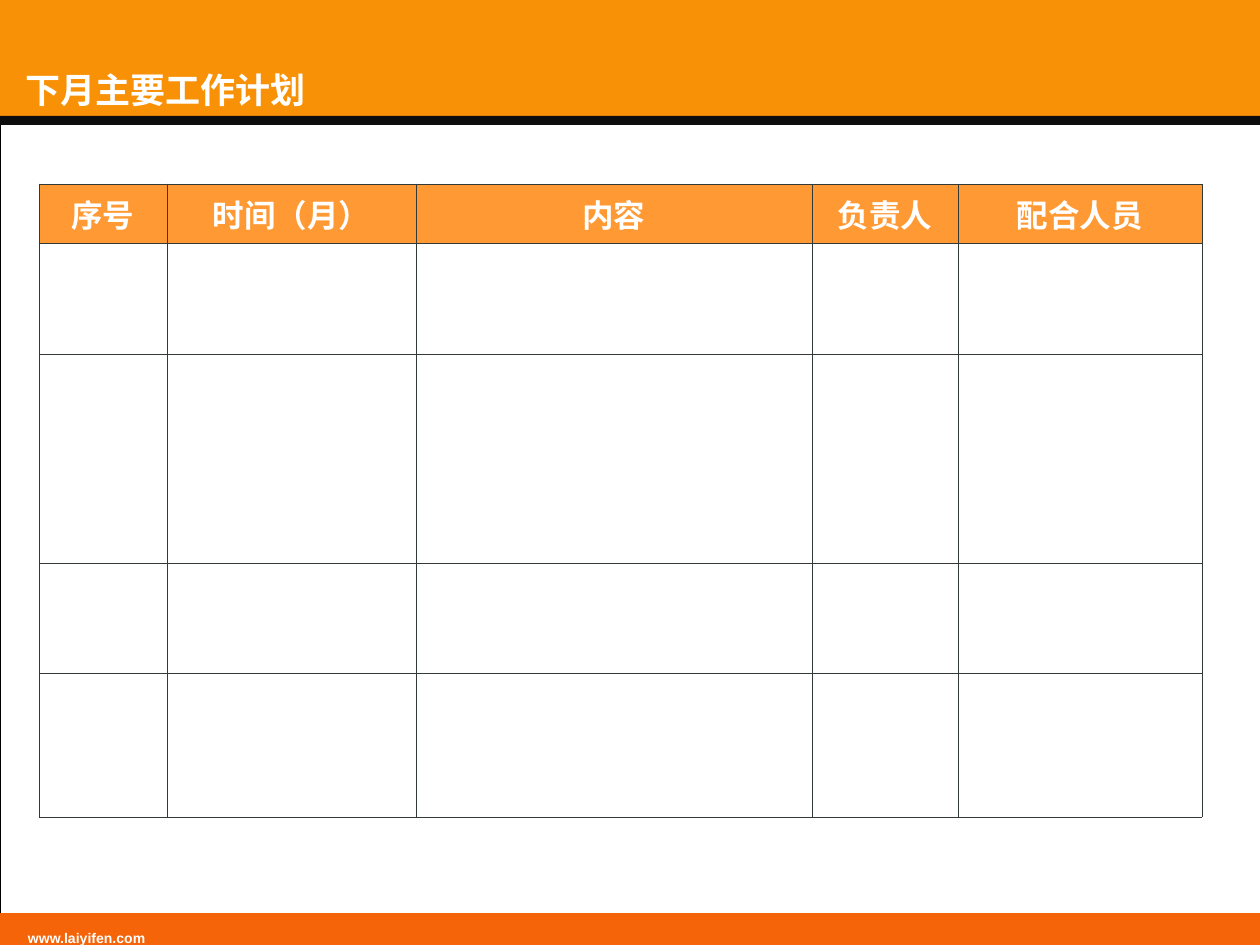
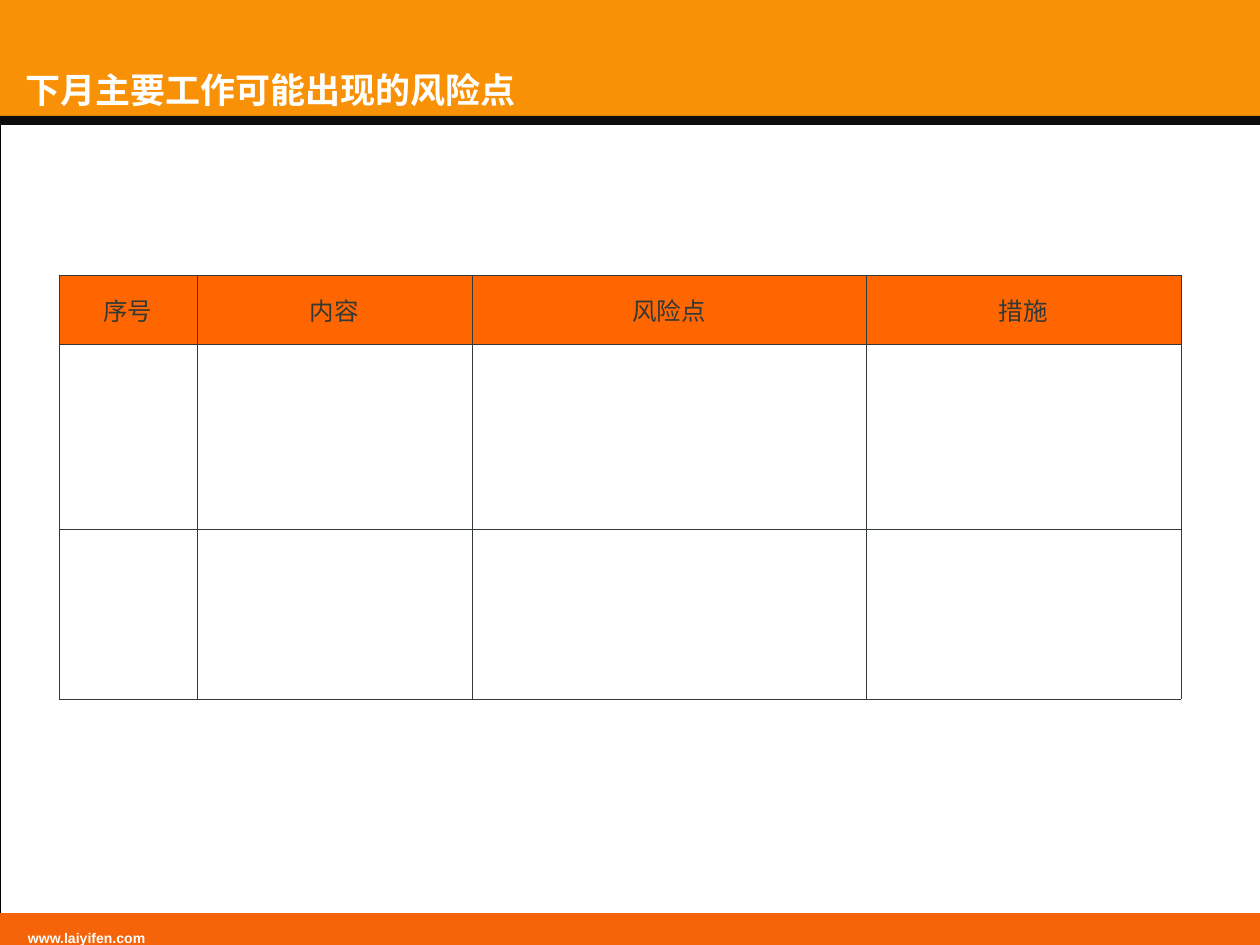
from lxml.etree import SubElement
from pptx import Presentation
from pptx.dml.color import RGBColor
from pptx.enum.shapes import MSO_SHAPE as Shape
from pptx.enum.text import MSO_ANCHOR as Anchor, MSO_AUTO_SIZE as AutoSize, PP_ALIGN as Align
from pptx.oxml import parse_xml
from pptx.oxml.ns import nsdecls, qn
from pptx.util import Emu, Pt

WHITE = RGBColor(0xFF, 0xFF, 0xFF)
BLACK = RGBColor(0x00, 0x00, 0x00)
HEADER_ORANGE = RGBColor(0xF9, 0x91, 0x07)
RULE_BLACK = RGBColor(0x0D, 0x0D, 0x0D)
FOOTER_ORANGE = RGBColor(0xF6, 0x64, 0x0A)
PLAN_ORANGE = RGBColor(0xFF, 0x99, 0x33)
RISK_ORANGE = RGBColor(0xFF, 0x66, 0x00)
INK = RGBColor(0x32, 0x39, 0x37)

TITLE_FONT = "Noto Sans CJK SC"
BODY_FONT = "Arial"
WIDTH, HEIGHT = 1260, 945
BORDER_WIDTH = Pt(0.45)

# top, height, colour of the full-width bands
BANDS = [
    (0, 118, HEADER_ORANGE),
    (116, 9, RULE_BLACK),
    (913, 32, FOOTER_ORANGE),
]

PAGES = [
    {
        "title": "下月主要工作计划",
        "corner": (39, 184),
        "headers": ["序号", "时间（月）", "内容", "负责人", "配合人员"],
        "columns": [128, 249, 396, 146, 244],
        "rows": [59, 111, 209, 110, 144],
        "header_fill": PLAN_ORANGE,
        "header_text": (18, WHITE, True),
        "body_fill": WHITE,
    },
    {
        "title": "下月主要工作可能出现的风险点",
        "corner": (59, 275),
        "headers": ["序号", "内容", "风险点", "措施"],
        "columns": [138, 275, 394, 315],
        "rows": [69, 185, 170],
        "header_fill": RISK_ORANGE,
        "header_text": (14, INK, False),
        "body_fill": None,
    },
]


def px(*lengths):
    """Turn pixel lengths (126 to the inch) into a list of EMU."""
    return [Emu(round(length * 914400 / 126)) for length in lengths]


def style_text(paragraph, name, size, color, bold):
    for run in paragraph.runs:
        run.font.name = name
        run.font.size = Pt(size)
        run.font.color.rgb = color
        run.font.bold = bold
        SubElement(run._r.get_or_add_rPr(), qn("a:ea"), typeface=TITLE_FONT)


presentation = Presentation()
presentation.slide_width, presentation.slide_height = px(WIDTH, HEIGHT)
title_only = presentation.slide_layouts[5]

for page in PAGES:
    slide = presentation.slides.add_slide(title_only)

    frame = slide.shapes.add_shape(Shape.RECTANGLE, *px(0, 0, WIDTH, HEIGHT))
    frame.shadow.inherit = False
    frame.fill.background()
    frame.line.color.rgb = BLACK
    frame.line.width = Pt(0.2)

    for top, height, color in BANDS:
        band = slide.shapes.add_shape(Shape.RECTANGLE, *px(0, top, WIDTH, height))
        band.shadow.inherit = False
        band.fill.solid()
        band.fill.fore_color.rgb = color
        band.line.fill.background()

    footer = slide.shapes.add_textbox(*px(0, 920, 828, 25)).text_frame
    footer.word_wrap = True
    footer.margin_left, footer.margin_top = px(28, 6)
    footer.text = "www.laiyifen.com"
    footer.paragraphs[0].line_spacing = 1.2
    style_text(footer.paragraphs[0], BODY_FONT, 8, WHITE, True)

    title = slide.shapes.title
    slide.shapes.element.append(title.element)  # bring in front of the bands
    title.left, title.top, title.width, title.height = px(0, 44, 1024, 72)
    title_frame = title.text_frame
    title_frame.text = page["title"]
    title_frame.auto_size = AutoSize.NONE
    title_frame.word_wrap = True
    title_frame.vertical_anchor = Anchor.BOTTOM
    title_frame.margin_left, title_frame.margin_top = px(25, 25)
    title_frame.margin_right, title_frame.margin_bottom = px(5, 5)
    title_frame.paragraphs[0].alignment = Align.LEFT
    style_text(title_frame.paragraphs[0], TITLE_FONT, 20, WHITE, True)

    columns, rows = page["columns"], page["rows"]
    table = slide.shapes.add_table(
        len(rows), len(columns), *px(*page["corner"], sum(columns), sum(rows))
    ).table
    table.first_row = False
    table.horz_banding = False
    for column, width in zip(table.columns, px(*columns)):
        column.width = width
    for row, height in zip(table.rows, px(*rows)):
        row.height = height

    for cell in table.iter_cells():
        properties = cell._tc.get_or_add_tcPr()
        for side in ("lnL", "lnR", "lnT", "lnB"):
            properties.append(parse_xml(
                f'<a:{side} {nsdecls("a")} w="{BORDER_WIDTH}"><a:solidFill>'
                f'<a:srgbClr val="{INK}"/></a:solidFill></a:{side}>'
            ))
        if page["body_fill"] is None:
            cell.fill.background()
        else:
            cell.fill.solid()
            cell.fill.fore_color.rgb = page["body_fill"]

    for cell, header in zip(table.rows[0].cells, page["headers"]):
        cell.fill.solid()
        cell.fill.fore_color.rgb = page["header_fill"]
        cell.vertical_anchor = Anchor.MIDDLE
        cell.text_frame.text = header
        paragraph = cell.text_frame.paragraphs[0]
        paragraph.alignment = Align.CENTER
        style_text(paragraph, BODY_FONT, *page["header_text"])

presentation.save("out.pptx")
